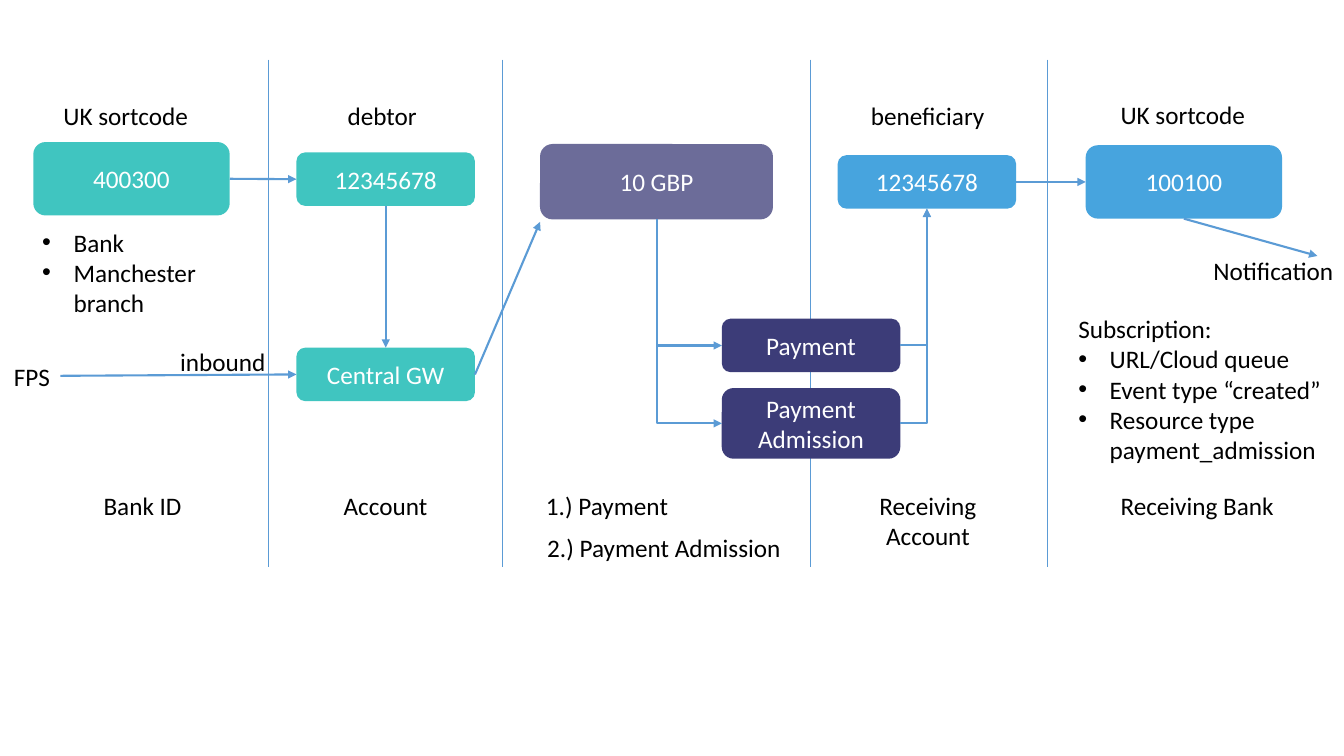
from lxml import etree
from pptx import Presentation
from pptx.dml.color import RGBColor
from pptx.enum.shapes import MSO_CONNECTOR, MSO_SHAPE
from pptx.enum.text import MSO_ANCHOR, MSO_AUTO_SIZE, PP_ALIGN
from pptx.oxml.ns import qn
from pptx.util import Cm, Pt

STRAIGHT, ELBOW = MSO_CONNECTOR.STRAIGHT, MSO_CONNECTOR.ELBOW
ROUNDED = MSO_SHAPE.ROUNDED_RECTANGLE
MIDDLE, NO_AUTOFIT = MSO_ANCHOR.MIDDLE, MSO_AUTO_SIZE.NONE
LEFT, CENTER = PP_ALIGN.LEFT, PP_ALIGN.CENTER
TOP_SITE, LEFT_SITE, BOTTOM_SITE, RIGHT_SITE = range(4)
TEAL, INDIGO, BLUE, LINE_BLUE = "00B2AB", "3C3C78", "0A86D3", "5B9BD5"
WHITE, BLACK = "FFFFFF", "000000"


def paint(fill, colour, opacity=100):
    """Make a fill solid in a hex colour, with opacity in percent."""
    fill.solid()
    fill.fore_color.rgb = RGBColor.from_string(colour)
    if opacity < 100:
        alpha = etree.SubElement(fill.fore_color._xFill[0], qn("a:alpha"))
        alpha.set("val", str(opacity * 1000))


def draw_line(kind, begin, end, weight=1.5, arrow=True):
    """Draw a blue line between two points and return the connector."""
    line = slide.shapes.add_connector(kind, *begin, *end)
    line.line.width = Pt(weight)
    paint(line.line.fill, LINE_BLUE)
    properties = line.element.spPr
    if arrow:
        tail = etree.SubElement(properties.find(qn("a:ln")), qn("a:tailEnd"))
        tail.set("type", "triangle")
    etree.SubElement(properties, qn("a:effectLst"))
    if kind == ELBOW:
        properties.find(qn("a:prstGeom")).set("prst", "bentConnector2")
    return line


presentation = Presentation()
presentation.slide_width, presentation.slide_height = Cm(33.87), Cm(19.05)
slide = presentation.slides.add_slide(presentation.slide_layouts[3])
slide.shapes.title.element.getparent().remove(slide.shapes.title.element)
text_colours = []

# Bulleted details of the two banks; True marks a bulleted line
details = [
    (1, (0.81, 5.59, 4.98, 2.57), [("Bank", True), ("Manchester branch", True)]),
    (2, (26.92, 7.77, 6.76, 4.11), [
        ("Subscription:", False), ("URL/Cloud queue", True),
        ("Event type “created”", True),
        ("Resource type payment_admission", True)]),
]
for index, place, lines in details:
    detail = slide.placeholders[index]
    detail.left, detail.top, detail.width, detail.height = map(Cm, place)
    frame = detail.text_frame
    frame.auto_size = NO_AUTOFIT
    frame.text = "\n".join(text for text, _ in lines)
    for paragraph, (_, bulleted) in zip(frame.paragraphs, lines):
        paragraph.space_before = Pt(0)
        indent = Cm(0.79) if bulleted else 0
        format_xml = paragraph._p.get_or_add_pPr()
        format_xml.set("marL", str(indent))
        format_xml.set("indent", str(-indent))
        if bulleted:
            etree.SubElement(format_xml, qn("a:buChar")).set("char", "•")
        else:
            etree.SubElement(format_xml, qn("a:buNone"))
    text_colours.append((detail, BLACK))

# Column dividers
for x in (6.77, 12.67, 20.42, 26.39):
    draw_line(STRAIGHT, (Cm(x), Cm(1.5)), (Cm(x), Cm(14.3)), 0.5, False)

# Labels: text, left, top, width, height, wrapped, alignment
labels = [
    ("Bank ID", 2.36, 12.22, 2.49, 1.02, False, LEFT),
    ("Account", 8.41, 12.24, 2.64, 1.02, False, LEFT),
    ("1.) Payment", 13.51, 12.24, 3.63, 1.02, False, LEFT),
    ("2.) Payment Admission", 13.54, 13.28, 6.45, 1.02, False, LEFT),
    ("Receiving Account", 21.29, 12.22, 4.19, 1.8, True, CENTER),
    ("Receiving Bank", 27.99, 12.24, 4.67, 1.02, True, LEFT),
    ("UK sortcode", 1.35, 2.41, 3.68, 1.02, False, LEFT),
    ("debtor", 8.51, 2.41, 2.29, 1.02, False, LEFT),
    ("beneficiary", 21.7, 2.41, 3.38, 1.02, False, LEFT),
    ("UK sortcode", 27.99, 2.39, 3.68, 1.02, False, LEFT),
    ("FPS", 0.1, 8.97, 1.42, 1.02, False, LEFT),
    ("inbound", 4.29, 8.61, 2.69, 1.02, False, LEFT),
    ("Notification", 30.33, 6.3, 4.67, 1.02, True, LEFT),
]
for text, left, top, width, height, wrapped, alignment in labels:
    label = slide.shapes.add_textbox(Cm(left), Cm(top), Cm(width), Cm(height))
    label.text_frame.word_wrap = wrapped
    label.text_frame.text = text
    label.text_frame.paragraphs[0].alignment = alignment
    text_colours.append((label, BLACK))

# Steps of the payment: text, left, top, width, height, colour, opacity
steps = [
    ("400300", 0.84, 3.58, 4.95, 1.85, TEAL, 75),
    ("12345678", 7.47, 3.84, 4.5, 1.35, TEAL, 75),
    ("Central GW", 7.47, 8.76, 4.5, 1.35, TEAL, 75),
    ("10 GBP", 13.61, 3.63, 5.87, 1.9, INDIGO, 75),
    ("Payment", 18.19, 8.03, 4.5, 1.35, INDIGO, 100),
    ("Payment Admission", 18.19, 9.78, 4.5, 1.78, INDIGO, 100),
    ("12345678", 21.11, 3.91, 4.5, 1.35, BLUE, 75),
    ("100100", 27.36, 3.66, 4.95, 1.85, BLUE, 75),
]
boxes = []
for text, left, top, width, height, colour, opacity in steps:
    box = slide.shapes.add_shape(ROUNDED, Cm(left), Cm(top), Cm(width), Cm(height))
    box.shadow.inherit = False
    paint(box.fill, colour, opacity)
    box.line.fill.background()
    box.text_frame.word_wrap = True
    box.text_frame.vertical_anchor = MIDDLE
    box.text_frame.text = text
    box.text_frame.paragraphs[0].alignment = CENTER
    boxes.append(box)
    text_colours.append((box, WHITE))
(sender_bank, debtor, gateway, amount,
 payment, admission, beneficiary, receiver_bank) = boxes

# Straight arrows: start box and site, end box and site, free start, free end
origin = (0, 0)
arrows = [
    (sender_bank, RIGHT_SITE, debtor, LEFT_SITE, origin, origin),
    (debtor, BOTTOM_SITE, gateway, TOP_SITE, origin, origin),
    (beneficiary, RIGHT_SITE, receiver_bank, LEFT_SITE, origin, origin),
    (None, None, gateway, LEFT_SITE, (Cm(1.52), Cm(9.47)), origin),
    (gateway, RIGHT_SITE, None, None, origin, (Cm(13.61), Cm(5.59))),
    (receiver_bank, BOTTOM_SITE, None, None, origin, (Cm(33.2), Cm(6.45))),
]
for start, start_site, target, target_site, begin, end in arrows:
    arrow = draw_line(STRAIGHT, begin, end)
    if start:
        arrow.begin_connect(start, start_site)
    if target:
        arrow.end_connect(target, target_site)

# Elbow arrows: from the amount down into each record, then up to the beneficiary
amount_x, amount_y = amount.left + amount.width // 2, amount.top + amount.height
account_x = beneficiary.left + beneficiary.width // 2
account_y = beneficiary.top + beneficiary.height
for record in (payment, admission):
    record_y = record.top + record.height // 2
    run, drop = record.left - amount_x, record_y - amount_y
    middle_x, middle_y = amount_x + run // 2, amount_y + drop // 2
    # The frame lies on its side, so run and drop trade places before turning
    descent = draw_line(ELBOW, (middle_x + drop // 2, middle_y - run // 2),
                        (middle_x - drop // 2, middle_y + run // 2))
    descent.element.spPr.find(qn("a:xfrm")).set("rot", str(270 * 60000))
    draw_line(ELBOW, (record.left + record.width, record_y), (account_x, account_y))

for holder, colour in text_colours:
    for paragraph in holder.text_frame.paragraphs:
        paragraph.font.name = "Calibri"
        paragraph.font.size = Pt(18)
        paint(paragraph.font.fill, colour)

presentation.save("out.pptx")
